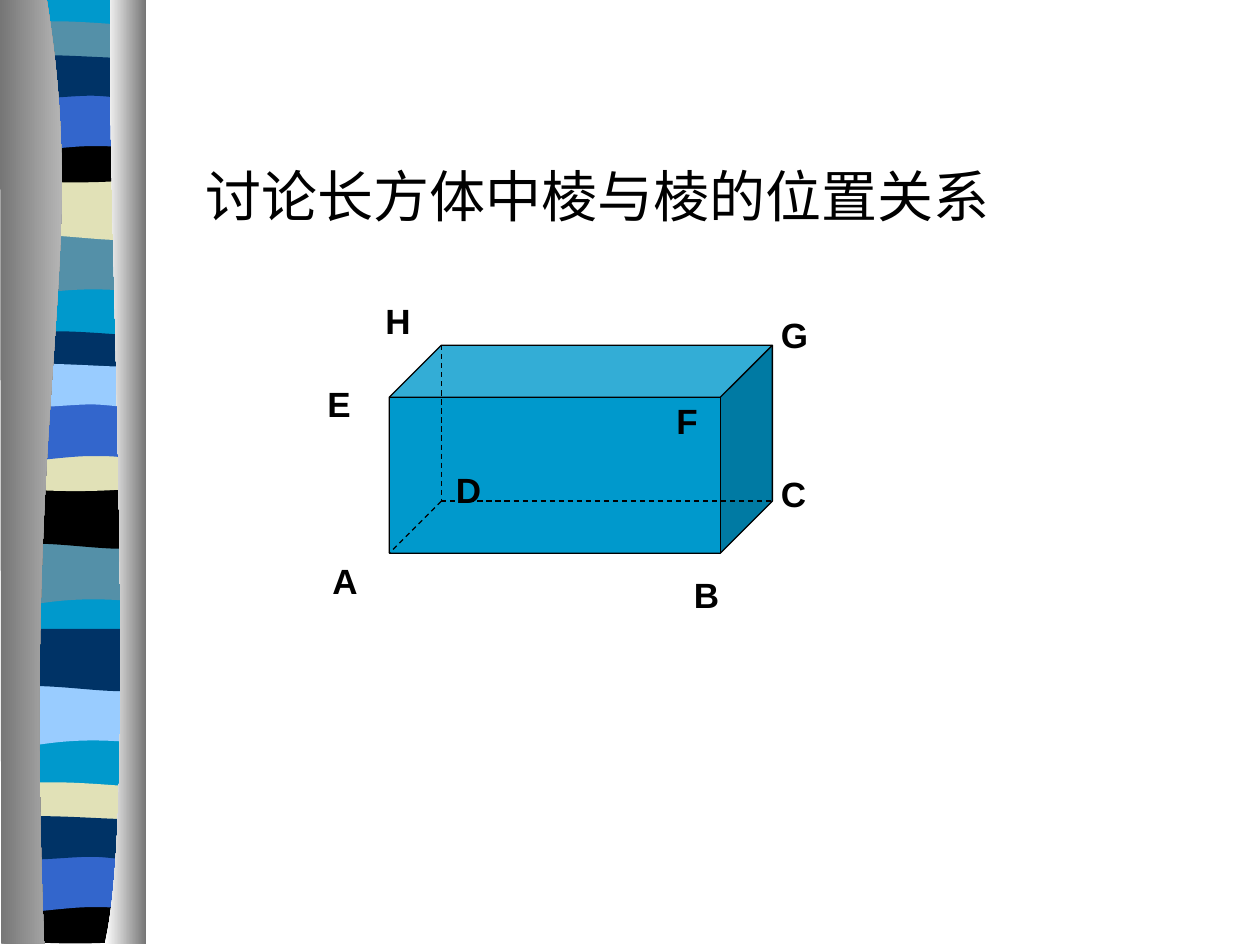
import pptx
import pptx.util
import pptx.dml.color
import pptx.enum.dml
import pptx.enum.shapes
import pptx.oxml.ns
import lxml.etree

Inches = pptx.util.Inches
qn = pptx.oxml.ns.qn
COLORS = {
    "cyan": "0099CC", "teal": "5490A8", "sand": "E1E1B7", "black": "000000",
    "blue": "3366CC", "navy": "003366", "sky": "99CCFF",
    "dark_grey": "767676", "mid_grey": "D3D3D3", "white": "FFFFFF",
}

# Outlines: a pair is a corner, six numbers are a Bezier curve
L, R = 0.05, 1.14
BANDS = {
    "swell": [(R, 1.85), (R, 2.32), (0.39, 2.24, 0.23, 2.4, L, 2.32), (L, 1.85)],
    "wave": [(R, 1.41), (R, 1.88), (0.96, 1.96, 0.39, 1.82, L, 1.88), (L, 1.41)],
    "barrel": [(R, 0.21), (R, 0.45), (0.96, 0.5, 0.23, 0.5, L, 0.45), (L, 0.21),
               (0.12, 0.16, 0.29, 0.17, 0.47, 0.17),
               (0.65, 0.17, 1, 0.2, R, 0.21)],
    "dip": [(R, 1.08), (R, 1.41), (0.96, 1.46, 0.24, 1.46, L, 1.41), (L, 1.08),
            (0.72, 1.13, 0.92, 1.08, R, 1.08)],
    "arch": [(R, 0.74), (R, 1.21), (0.97, 1.16, 0.9, 1.16, 0.72, 1.16),
             (0.54, 1.16, 0.22, 1.21, L, 1.21), (L, 0.74)],
    "bow": [(R, 0.46), (R, 0.76), (1.07, 0.81, 0.9, 0.76, 0.72, 0.76),
            (0.54, 0.76, 0.17, 0.81, L, 0.76), (L, 0.46),
            (0.21, 0.41, 0.79, 0.46, 0.97, 0.46),
            (1.15, 0.46, 1.11, 0.46, R, 0.46)],
}
# The same bands repeat down the column: band, shift down, colour
STACK = [
    ("swell", 0, "teal"), ("wave", 0, "sand"), ("barrel", 0, "teal"),
    ("dip", 0, "black"), ("arch", 0, "blue"), ("bow", 0, "navy"),
    ("swell", 2.46, "teal"), ("wave", 2.45, "black"), ("barrel", 2.46, "navy"),
    ("dip", 2.45, "sand"), ("arch", 2.46, "blue"), ("bow", 2.45, "sky"),
    ("swell", 3.58, "sky"), ("wave", 3.58, "navy"), ("barrel", 6.04, "sand"),
    ("dip", 6.04, "black"), ("arch", 6.04, "blue"), ("bow", 6.04, "navy"),
]
LABELS = {
    "A": (2.54, 4.39), "C": (6.1, 3.7), "B": (5.41, 4.5), "D": (3.52, 3.67),
    "F": (5.27, 3.12), "E": (2.5, 2.99), "H": (2.96, 2.33), "G": (6.1, 2.44),
}


def rgb(name):
    return pptx.dml.color.RGBColor.from_string(COLORS[name])


def add_text(tf, text, size=20, font="Arial", bold=False, color="black"):
    r = tf.paragraphs[0].add_run()
    r.text = text
    r.font.size = pptx.util.Pt(size)
    r.font.name = font
    r.font.bold = bold
    r.font.color.rgb = rgb(color)


def bend(sp, pieces):
    """Merge the three straight segments of each curve into one Bezier."""
    segments = iter(list(sp._element.iter(qn("a:lnTo"))))
    for piece in pieces[1:]:
        first = next(segments)
        if len(piece) == 6:
            first.tag = qn("a:cubicBezTo")
            for _ in range(2):
                extra = next(segments)
                first.append(extra[0])
                extra.getparent().remove(extra)


class Deck:
    def __init__(self, width, height):
        self.prs = pptx.Presentation()
        self.prs.slide_width, self.prs.slide_height = Inches(width), Inches(height)
        self.s = self.prs.slides.add_slide(self.prs.slide_layouts[6])
        self.line_width = pptx.util.Pt(0.75)

    def outline(self, pieces, *colors, dy=0):
        """Closed outline; two colours make a left-to-right gradient."""
        points = [(Inches(piece[i]), Inches(piece[i + 1] + dy))
                  for piece in pieces for i in range(0, len(piece), 2)]
        fb = self.s.shapes.build_freeform(*points[0], scale=1.0)
        fb.add_line_segments(points[1:], close=False)
        sp = fb.convert_to_shape()
        bend(sp, pieces)
        sp.shadow.inherit = False
        sp.line.fill.background()
        if len(colors) == 1:
            sp.fill.solid()
            sp.fill.fore_color.rgb = rgb(colors[0])
        else:
            sp.fill.gradient()
            sp.fill.gradient_angle = 0
            for stop, color in zip(sp.fill.gradient_stops, colors):
                stop.color.rgb = rgb(color)

    def cube(self, x, y, w, h, color):
        sp = self.s.shapes.add_shape(pptx.enum.shapes.MSO_SHAPE.CUBE,
                                     Inches(x), Inches(y), Inches(w), Inches(h))
        sp.shadow.inherit = False
        sp.adjustments[0] = 0.25
        sp.fill.solid()
        sp.fill.fore_color.rgb = rgb(color)
        sp.line.color.rgb = rgb("black")
        sp.line.width = self.line_width

    def dashed(self, start, end):
        cxn = self.s.shapes.add_connector(
            pptx.enum.shapes.MSO_CONNECTOR.STRAIGHT,
            *[Inches(v) for v in start + end])
        cxn.line.color.rgb = rgb("black")
        cxn.line.width = self.line_width
        cxn.line.dash_style = pptx.enum.dml.MSO_LINE.DASH
        lxml.etree.SubElement(cxn._element.spPr, qn("a:effectLst"))

    def text(self, text, x, y, w, h, **style):
        sp = self.s.shapes.add_textbox(Inches(x), Inches(y), Inches(w), Inches(h))
        sp.text_frame.word_wrap = True
        add_text(sp.text_frame, text, **style)


def main():
    deck = Deck(10, 7.5)

    # Striped column
    deck.outline([(R, -0.01), (R, 7.47), (L, 7.47), (L, -0.01), (R, -0.01)], "cyan")
    for band, dy, color in STACK:
        deck.outline(BANDS[band] + BANDS[band][:1], color, dy=dy)

    # Grey curtains on both sides of the column
    deck.outline([(0.37, -0.01), (0.72, 2.16, 0.17, 2.96, 0.35, 7.49), (0.01, 7.49),
                  (0, -0.01), (0.37, -0.01)], "dark_grey", "mid_grey")
    deck.outline([(0.88, -0.01), (0.83, 1.25, 1.11, 6.46, 0.83, 7.49), (1.16, 7.49),
                  (1.16, 0), (0.88, -0.01)], "white", "dark_grey")

    # Cuboid with its hidden edges
    x, y, w, h = 3.09, 2.74, 3.04, 1.65
    depth = h / 4
    deck.cube(x, y, w, h, "cyan")
    hidden = (x + depth, y + h - depth)
    deck.dashed((x + depth, y), hidden)
    deck.dashed(hidden, (x + w, y + h - depth))
    deck.dashed(hidden, (x, y + h))

    # Vertex labels
    for letter, (left, top) in LABELS.items():
        deck.text(letter, left, top, 0.73, 0.44, bold=True)

    # Title
    deck.text("讨论长方体中棱与棱的位置关系", 1.53, 1.23, 6.77, 0.64,
              size=32, font="Times New Roman")

    deck.prs.save("out.pptx")


if __name__ == "__main__":
    main()
